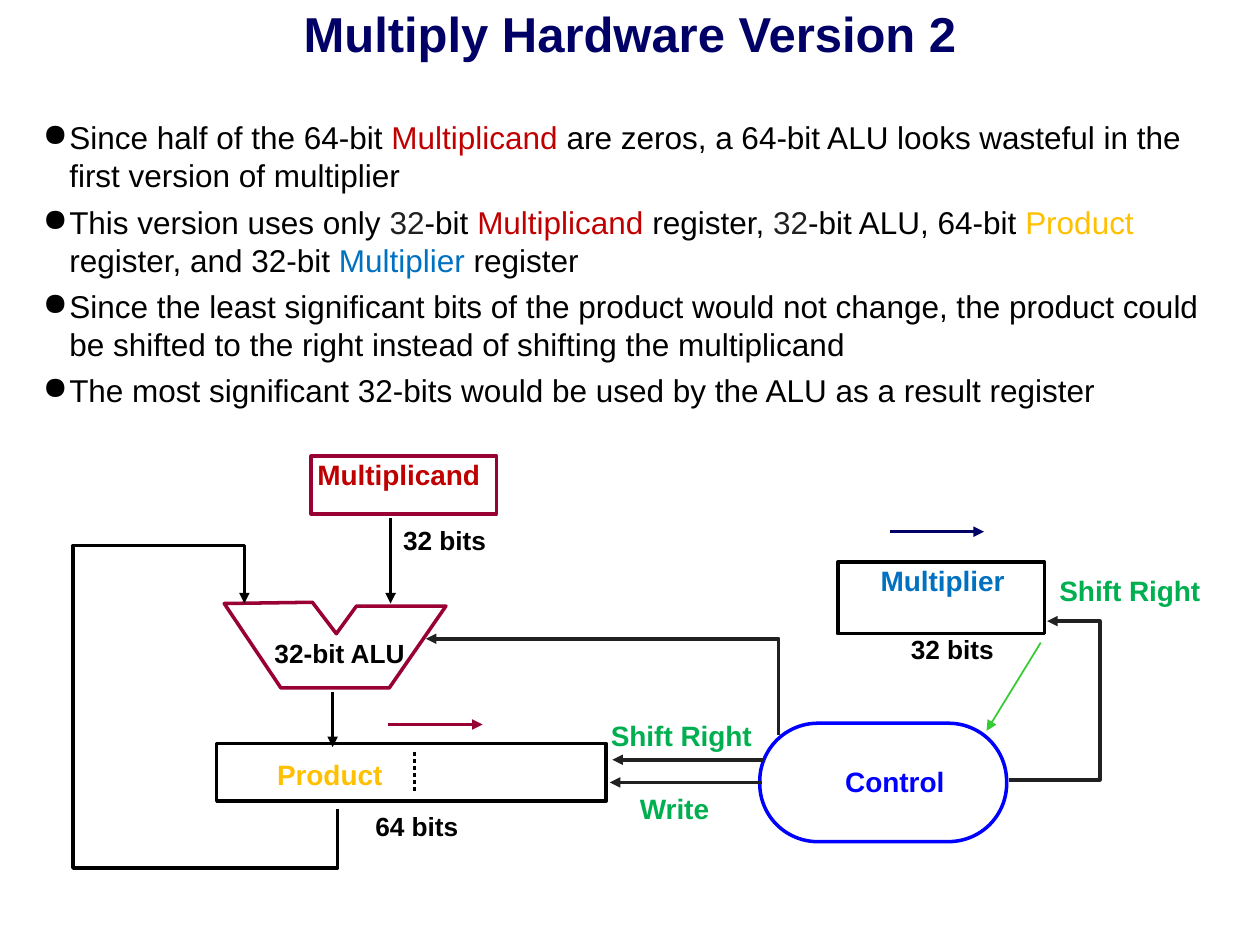
import pptx
import pptx.util
import pptx.dml.color
import pptx.enum.dml
import pptx.enum.shapes
import pptx.enum.text
import pptx.oxml.ns
import lxml.etree

Inches = pptx.util.Inches
Pt = pptx.util.Pt
RGBColor = pptx.dml.color.RGBColor
MSO_SHAPE = pptx.enum.shapes.MSO_SHAPE
qn = pptx.oxml.ns.qn

NAVY = RGBColor(0x00, 0x00, 0x66)
BLACK = RGBColor(0x00, 0x00, 0x00)
WHITE = RGBColor(0xFF, 0xFF, 0xFF)
DARK = RGBColor(0x21, 0x21, 0x21)
MAROON = RGBColor(0x99, 0x00, 0x33)
RED = RGBColor(0xC0, 0x00, 0x00)
GOLD = RGBColor(0xFF, 0xC0, 0x00)
SKY = RGBColor(0x00, 0x70, 0xC0)
GREEN = RGBColor(0x00, 0xB0, 0x50)
LIME = RGBColor(0x33, 0xCC, 0x33)
BLUE = RGBColor(0x00, 0x00, 0xFF)

prs = pptx.Presentation()
prs.slide_width = Inches(10)
prs.slide_height = Inches(7.5)
s = prs.slides.add_slide(prs.slide_layouts[6])


def add_text(box, margins, paragraphs, size, bold):
    tf = s.shapes.add_textbox(*[Inches(v) for v in box]).text_frame
    tf.word_wrap = True
    tf.margin_left = tf.margin_right = Inches(margins[0])
    tf.margin_top = tf.margin_bottom = Inches(margins[1])
    for i, runs in enumerate(paragraphs):
        p = tf.paragraphs[0] if i == 0 else tf.add_paragraph()
        for text, color in runs:
            r = p.add_run()
            r.text = text
            r.font.name = "Arial"
            r.font.size = Pt(size)
            r.font.bold = bold
            r.font.color.rgb = color
    return tf


def add_path(points, color, width=2, closed=False, arrow=True):
    pts = [(Inches(x), Inches(y)) for x, y in points]
    if len(pts) == 2:
        sp = s.shapes.add_connector(pptx.enum.shapes.MSO_CONNECTOR.STRAIGHT, *pts[0], *pts[1])
        lxml.etree.SubElement(sp.element.spPr, qn("a:effectLst"))
    else:
        builder = s.shapes.build_freeform(*pts[0])
        builder.add_line_segments(pts[1:], close=closed)
        sp = builder.convert_to_shape()
        sp.shadow.inherit = False
        sp.fill.background()
    sp.line.color.rgb = color
    sp.line.width = Pt(width)
    if arrow:
        lxml.etree.SubElement(sp.line._get_or_add_ln(), qn("a:tailEnd"), type="triangle")
    return sp


title = add_text((0, 0, 10, 0.53), (0.07, 0.03), [[("Multiply Hardware Version 2", NAVY)]], 28, True)
title.paragraphs[0].alignment = pptx.enum.text.PP_ALIGN.CENTER

alu = [(1.78, 4.79), (2.23, 5.46), (3.09, 5.46), (3.54, 4.81), (2.83, 4.81), (2.67, 5.03), (2.48, 4.78)]
add_path(alu, MAROON, closed=True, arrow=False)

for kind, box, fill, line in [
    (MSO_SHAPE.RECTANGLE, (1.72, 5.9, 3.09, 0.46), None, BLACK),
    (MSO_SHAPE.RECTANGLE, (6.64, 4.45, 1.73, 0.57), WHITE, None),
    (MSO_SHAPE.RECTANGLE, (6.65, 4.46, 1.64, 0.57), None, BLACK),
    (MSO_SHAPE.RECTANGLE, (2.47, 3.62, 1.47, 0.46), None, MAROON),
    (MSO_SHAPE.ROUNDED_RECTANGLE, (6.03, 5.74, 1.96, 0.94), None, BLUE),
]:
    sp = s.shapes.add_shape(kind, *[Inches(v) for v in box])
    sp.shadow.inherit = False
    if kind == MSO_SHAPE.ROUNDED_RECTANGLE:
        sp.adjustments[0] = 0.49
    if fill is None:
        sp.fill.background()
    else:
        sp.fill.solid()
        sp.fill.fore_color.rgb = fill
    if line is None:
        sp.line.fill.background()
    else:
        sp.line.color.rgb = line
        sp.line.width = Pt(2)

for points, color, width in [
    ([(7.06, 4.22), (7.81, 4.22)], NAVY, 2),
    ([(8.01, 6.19), (8.73, 6.19), (8.73, 4.93), (8.31, 4.93)], DARK, 2),
    ([(6.18, 5.83), (6.18, 5.07), (3.38, 5.07)], DARK, 2),
    ([(6.05, 6.21), (4.84, 6.21)], DARK, 2),
    ([(2.64, 5.49), (2.64, 5.93)], BLACK, 2),
    ([(2.68, 6.42), (2.68, 6.89), (0.58, 6.89), (0.58, 4.33), (1.94, 4.33), (1.94, 4.79)], BLACK, 2),
    ([(3.1, 4.11), (3.1, 4.79)], BLACK, 2),
    ([(3.08, 5.75), (3.83, 5.75)], MAROON, 2),
    ([(6.06, 6.03), (4.86, 6.03)], DARK, 2),
    ([(8.26, 5.1), (7.83, 5.8)], LIME, 1),
]:
    add_path(points, color, width)

divider = add_path([(3.29, 5.97), (3.29, 6.3)], BLACK, arrow=False)
divider.line.dash_style = pptx.enum.dml.MSO_LINE.ROUND_DOT

for text, x, y, w, size, color in [
    ("Product", 2.1, 5.96, 1.05, 16, GOLD),
    ("Multiplier", 6.89, 4.42, 1.2, 16, SKY),
    ("Multiplicand", 2.42, 3.58, 1.6, 16, RED),
    ("32-bit ALU", 2.08, 5.01, 1.56, 15, BLACK),
    ("Shift Right", 8.31, 4.5, 1.34, 16, GREEN),
    ("Write", 4.98, 6.23, 0.76, 16, GREEN),
    ("Control", 6.61, 6.02, 1, 16, BLUE),
    ("32 bits", 7.13, 4.98, 0.91, 15, BLACK),
    ("32 bits", 3.1, 4.11, 0.91, 15, BLACK),
    ("64 bits", 2.88, 6.38, 0.91, 15, BLACK),
    ("Shift Right", 4.75, 5.65, 1.34, 16, GREEN),
]:
    add_text((x, y, w, 0.37), (0.1, 0.05), [[(text, color)]], size, True)

points = [
    [
        ("Since half of the 64-bit ", BLACK),
        ("Multiplicand", RED),
        (" are zeros, a 64-bit ALU looks wasteful in the first version of multiplier", BLACK),
    ],
    [
        ("This version uses only ", BLACK),
        ("32", DARK),
        ("-bit ", BLACK),
        ("Multiplicand", RED),
        (" register, ", BLACK),
        ("32", DARK),
        ("-bit ALU, 64-bit ", BLACK),
        ("Product", GOLD),
        (" register, and 32-bit ", BLACK),
        ("Multiplier", SKY),
        (" register", BLACK),
    ],
    [(
        "Since the least significant bits of the product would not change, the product could "
        "be shifted to the right instead of shifting the multiplicand", BLACK,
    )],
    [("The most significant 32-bits would be used by the ALU as a result register", BLACK)],
]
tf = add_text((0.26, 0.91, 9.38, 2.42), (0.07, 0.03), points, 18, False)
for i, p in enumerate(tf.paragraphs):
    if i > 0:
        p.space_before = Pt(5)
    pPr = p._p.get_or_add_pPr()
    pPr.set("marL", str(Inches(0.22)))
    pPr.set("indent", str(Inches(-0.21)))
    bullet_color = lxml.etree.SubElement(pPr, qn("a:buClr"))
    lxml.etree.SubElement(bullet_color, qn("a:srgbClr"), val=str(BLACK))
    lxml.etree.SubElement(pPr, qn("a:buChar"), char="●")

prs.save("out.pptx")
